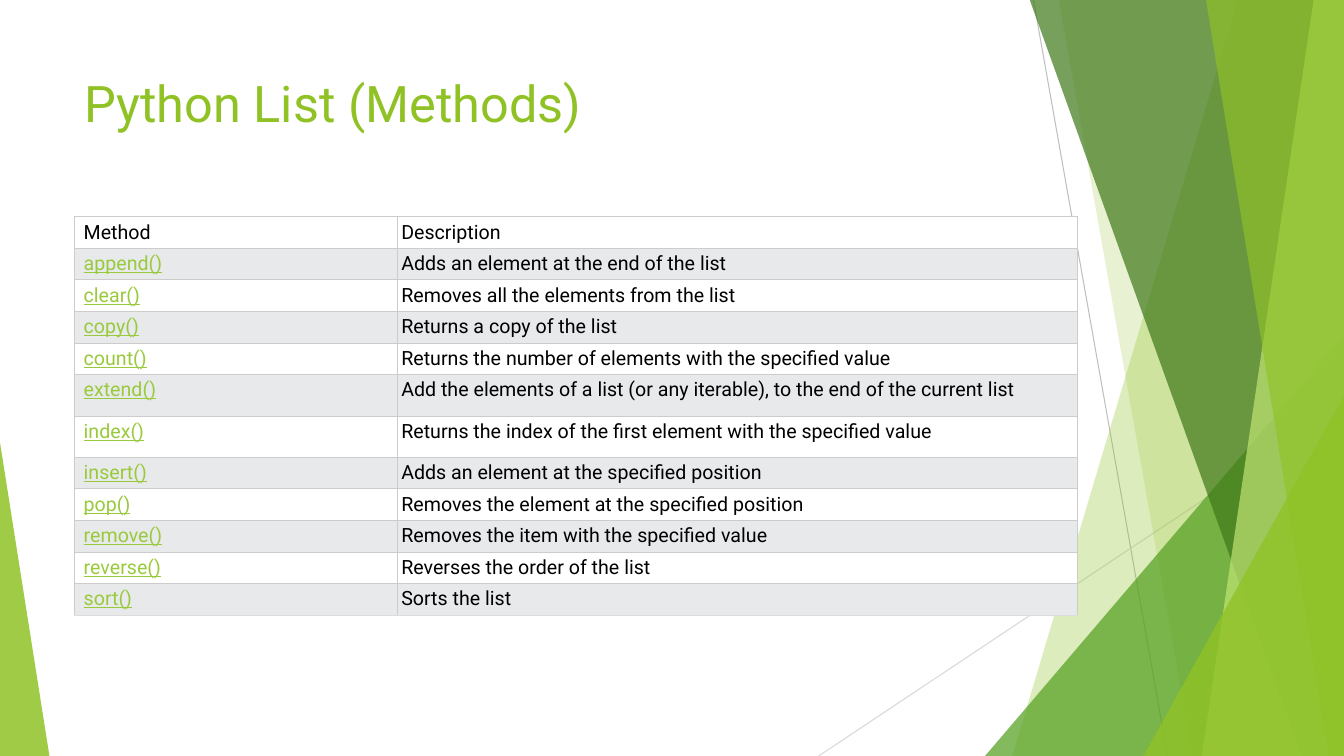
from dataclasses import dataclass

from lxml.etree import SubElement
from pptx import Presentation
from pptx.dml.color import RGBColor
from pptx.enum.shapes import MSO_CONNECTOR as Connector, MSO_SHAPE as Shape
from pptx.enum.text import MSO_ANCHOR as Anchor
from pptx.oxml.ns import qn
from pptx.util import Inches, Pt


@dataclass(frozen=True)
class Theme:
    """Colours, font and sizes of the slide."""
    font: str = "Roboto"
    title_size: int = 36
    table_size: int = 14
    rule_width: float = 0.75
    green: str = "90C226"
    leaf: str = "54A021"
    forest: str = "3F7819"
    lime: str = "C0E474"
    method: str = "99CA3C"
    text: str = "000000"
    row: str = "FFFFFF"
    band: str = "E7E9EB"
    border: str = "CCCCCC"
    last_border: str = "DDDDDD"
    steep_ray: str = "BFBFBF"
    flat_ray: str = "D9D9D9"


THEME = Theme()
TOP, RIGHT, BOTTOM = -0.01, 13.33, 7.5
COLUMN_WIDTHS = (3.2, 6.75)
ROW_HEIGHT, TALL_ROW_HEIGHT = 0.25, 0.41
TALL_ROWS = ("extend()", "index()")
METHODS = (
    ("Method", "Description"),
    ("append()", "Adds an element at the end of the list"),
    ("clear()", "Removes all the elements from the list"),
    ("copy()", "Returns a copy of the list"),
    ("count()", "Returns the number of elements with the specified value"),
    ("extend()", "Add the elements of a list (or any iterable), to the end of the current list"),
    ("index()", "Returns the index of the first element with the specified value"),
    ("insert()", "Adds an element at the specified position"),
    ("pop()", "Removes the element at the specified position"),
    ("remove()", "Removes the item with the specified value"),
    ("reverse()", "Reverses the order of the list"),
    ("sort()", "Sorts the list"),
)


def rgb(color):
    """Turn a hex string into a colour."""
    return RGBColor.from_string(color)


def add_ray(slide, start, end, color):
    """Draw a thin background line."""
    ray = slide.shapes.add_connector(Connector.STRAIGHT, *map(Inches, start + end))
    ray.line.color.rgb = rgb(color)
    ray.line.width = Pt(THEME.rule_width)
    SubElement(ray._element.spPr, qn("a:effectLst"))


def paint(facet, color, opacity):
    """Give a facet a translucent fill and no outline."""
    facet.shadow.inherit = False
    facet.line.fill.background()
    facet.fill.solid()
    facet.fill.fore_color.rgb = rgb(color)
    tint = facet._element.spPr.find(qn("a:solidFill")).find(qn("a:srgbClr"))
    SubElement(tint, qn("a:alpha"), val=str(opacity * 1000))


def add_band(slide, top_left, bottom_left, color, opacity):
    """Draw a full-height facet reaching the right edge."""
    corners = [(top_left, TOP), (RIGHT, TOP), (RIGHT, BOTTOM), (bottom_left, BOTTOM)]
    start, *others = [(Inches(x), Inches(y)) for x, y in corners]
    outline = slide.shapes.build_freeform(*start)
    outline.add_line_segments(others, close=True)
    paint(outline.convert_to_shape(), color, opacity)


def add_wedge(slide, left, top, width, apex, color, opacity):
    """Draw a triangle standing on the bottom edge."""
    wedge = slide.shapes.add_shape(
        Shape.ISOSCELES_TRIANGLE, *map(Inches, (left, top, width, BOTTOM - top)))
    wedge.adjustments[0] = apex
    paint(wedge, color, opacity)


def add_run(paragraph, text, size, color, underline=False):
    """Add one styled run."""
    run = paragraph.add_run()
    run.text = text
    run.font.name = THEME.font
    run.font.size = Pt(size)
    run.font.color.rgb = rgb(color)
    run.font.underline = underline


def add_title(slide, text):
    """Add the slide heading."""
    frame = slide.shapes.add_textbox(*map(Inches, (0.74, 0.67, 9.4, 1.44))).text_frame
    frame.word_wrap = True
    frame.vertical_anchor = Anchor.TOP
    add_run(frame.paragraphs[0], text, THEME.title_size, THEME.green)


def style_cell(cell, left_margin, fill, bottom_border):
    """Set a cell's margins, borders and fill."""
    cell.margin_left = Inches(left_margin)
    cell.margin_top = cell.margin_right = cell.margin_bottom = Inches(0.04)
    properties = cell._tc.get_or_add_tcPr()
    for side in "LRTB":
        edge = SubElement(properties, qn(f"a:ln{side}"), w=str(Pt(THEME.rule_width)))
        color = bottom_border if side == "B" else THEME.border
        SubElement(SubElement(edge, qn("a:solidFill")), qn("a:srgbClr"), val=color)
    cell.fill.solid()
    cell.fill.fore_color.rgb = rgb(fill)


def add_methods_table(slide):
    """Add the table of list methods."""
    heights = [TALL_ROW_HEIGHT if name in TALL_ROWS else ROW_HEIGHT for name, _ in METHODS]
    table = slide.shapes.add_table(
        len(METHODS), len(COLUMN_WIDTHS), Inches(0.74), Inches(2.15),
        Inches(sum(COLUMN_WIDTHS)), Inches(sum(heights))).table
    table.first_row = table.horz_banding = False
    for column, width in zip(table.columns, COLUMN_WIDTHS):
        column.width = Inches(width)
    for index, (entry, height) in enumerate(zip(METHODS, heights)):
        table.rows[index].height = Inches(height)
        fill = THEME.band if index % 2 else THEME.row
        bottom = THEME.last_border if index == len(METHODS) - 1 else THEME.border
        for position, text in enumerate(entry):
            cell = table.cell(index, position)
            is_method = index > 0 and position == 0
            style_cell(cell, 0.04 if position else 0.09, fill, bottom)
            add_run(cell.text_frame.paragraphs[0], text, THEME.table_size,
                    THEME.method if is_method else THEME.text, is_method)


def add_backdrop(slide):
    """Draw the rays and green facets from back to front."""
    add_ray(slide, (10.25, 0), (11.58, BOTTOM), THEME.steep_ray)
    add_ray(slide, (RIGHT, 4.03), (8.12, BOTTOM), THEME.flat_ray)
    add_band(slide, 12.28, 10.04, THEME.green, 30)
    add_band(slide, 10.5, 11.83, THEME.green, 20)
    add_wedge(slide, 9.77, 3.33, 3.56, 1, THEME.leaf, 72)
    add_band(slide, 10.21, 12.91, THEME.forest, 70)
    add_band(slide, 13.03, 11.92, THEME.lime, 70)
    add_band(slide, 11.96, 13.18, THEME.green, 65)
    add_wedge(slide, 11.34, 3.93, 1.99, 1, THEME.green, 80)
    add_wedge(slide, 0, 4.39, 0.49, 0, THEME.green, 85)


def main():
    """Build and save the slide."""
    deck = Presentation()
    deck.slide_width, deck.slide_height = Inches(RIGHT), Inches(BOTTOM)
    slide = deck.slides.add_slide(deck.slide_layouts[6])
    add_backdrop(slide)
    add_title(slide, "Python List (Methods)")
    add_methods_table(slide)
    deck.save("out.pptx")


if __name__ == "__main__":
    main()
